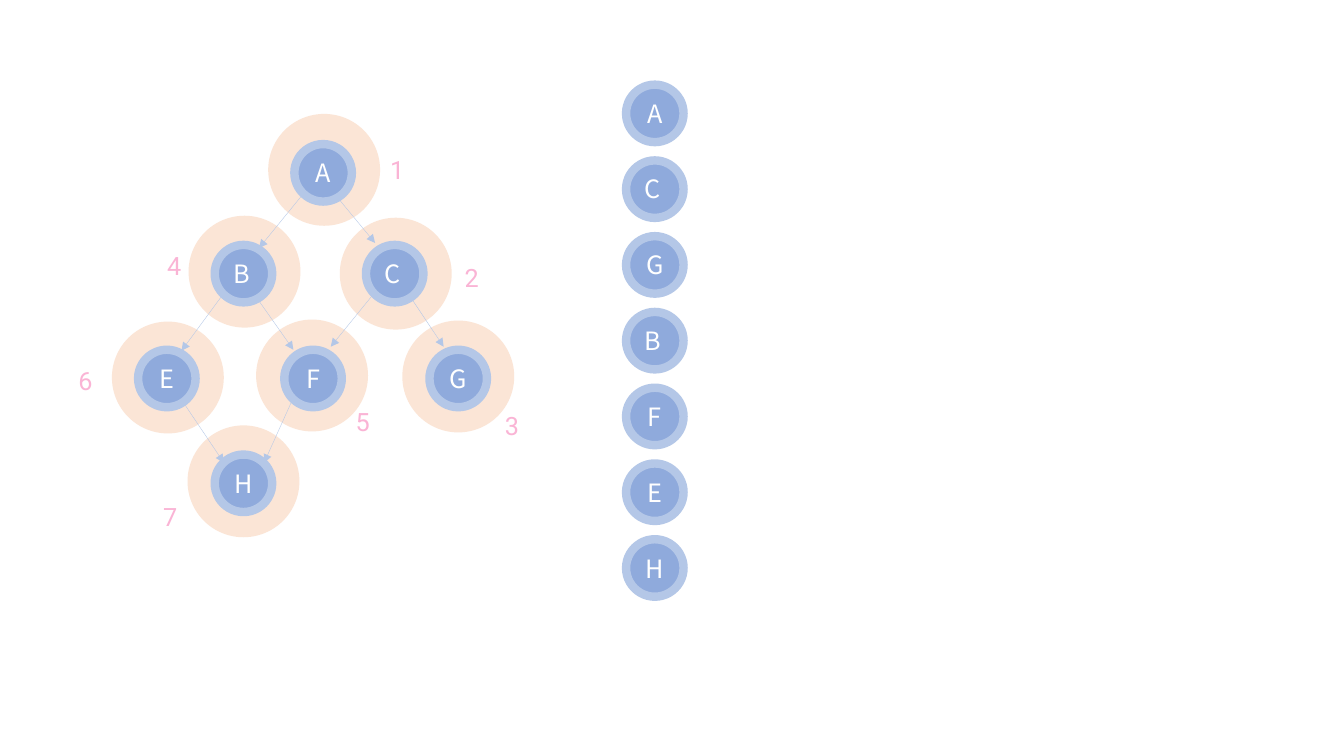
from lxml import etree
from pptx import Presentation
from pptx.dml.color import RGBColor
from pptx.enum.shapes import MSO_CONNECTOR, MSO_SHAPE
from pptx.enum.text import MSO_ANCHOR, MSO_AUTO_SIZE, PP_ALIGN
from pptx.oxml.ns import qn
from pptx.util import Inches, Pt

OVAL, STRAIGHT = MSO_SHAPE.OVAL, MSO_CONNECTOR.STRAIGHT
TOP, MIDDLE = MSO_ANCHOR.TOP, MSO_ANCHOR.MIDDLE
LEFT, CENTER, JUSTIFY = PP_ALIGN.LEFT, PP_ALIGN.CENTER, PP_ALIGN.JUSTIFY
FIT_SHAPE = MSO_AUTO_SIZE.SHAPE_TO_FIT_TEXT

HALO, NODE, RING = "FBE5D6", "8FAADC", "B4C7E7"
WHITE, PINK = "FFFFFF", "FAB4D5"
NODE_FONT, ORDER_FONT = "Noto Sans CJK SC", "Roboto"
HALO_SIZE, NODE_SIZE = 1.11, 0.57
TOP_ALIGNED = "BC"  # nodes with justified text at the top

# Left and top of each graph node, its halo and its visit number
GRAPH = {
    "A": (2.92, 1.43), "B": (2.13, 2.43), "C": (3.63, 2.43),
    "E": (1.37, 3.47), "F": (2.82, 3.47), "H": (2.13, 4.51), "G": (4.26, 3.47),
}
HALOS = [(1.86, 4.22), (3.99, 3.18), (3.37, 2.16), (2.54, 3.17),
         (1.11, 3.19), (1.87, 2.14), (2.66, 1.13)]
VISITS = {
    "7": (1.52, 4.92), "6": (0.68, 3.58), "5": (3.43, 3.98), "4": (1.56, 2.43),
    "3": (4.91, 4.02), "2": (4.51, 2.55), "1": (3.77, 1.48),
}
EDGES = [  # start x, y, end x, y
    (3.01, 1.92, 2.57, 2.46),  # A to B
    (3.34, 1.95, 3.72, 2.41),  # A to C
    (2.22, 2.91, 1.80, 3.48),  # B to E
    (2.48, 2.86, 2.91, 3.47),  # B to F
    (2.93, 3.90, 2.62, 4.59),  # F to H
    (4.02, 2.87, 4.40, 3.44),  # C to G
    (3.71, 2.91, 3.28, 3.44),  # C to F
    (1.81, 3.98, 2.22, 4.59),  # E to H
]

# Visit order in the column on the right
ORDER = "ACGBFEH"
ORDER_LEFT, ORDER_TOP, ORDER_BOTTOM = 6.21, 0.84, 5.35


def rgb(color):
    return RGBColor.from_string(color)


def add_text(tf, text, font, color, align):
    p = tf.paragraphs[0]
    p.alignment = align
    r = p.add_run()
    r.text = text
    r.font.name = font
    r.font.size = Pt(18)
    r.font.color.rgb = rgb(color)
    # The East Asian face follows the Latin one
    ea = etree.SubElement(r.font._element, qn("a:ea"))
    ea.set("typeface", font)


def add_circle(shapes, left, top, size, fill):
    sp = shapes.add_shape(OVAL, Inches(left), Inches(top), Inches(size), Inches(size))
    sp.shadow.inherit = False
    sp.fill.solid()
    sp.fill.fore_color.rgb = rgb(fill)
    sp.line.fill.background()
    return sp


def add_node(shapes, letter, left, top):
    sp = add_circle(shapes, left, top, NODE_SIZE, NODE)
    sp.line.color.rgb = rgb(RING)
    sp.line.width = Pt(6)
    at_top = letter in TOP_ALIGNED
    sp.text_frame.vertical_anchor = TOP if at_top else MIDDLE
    add_text(sp.text_frame, letter, NODE_FONT, WHITE, JUSTIFY if at_top else CENTER)


def add_edge(shapes, x1, y1, x2, y2):
    edge = shapes.add_connector(STRAIGHT, Inches(x1), Inches(y1), Inches(x2), Inches(y2))
    edge.line.color.rgb = rgb(RING)
    edge.line.width = Pt(0.25)
    ln = edge.line._get_or_add_ln()
    for tag, kind in (("a:headEnd", "diamond"), ("a:tailEnd", "triangle")):
        etree.SubElement(ln, qn(tag)).set("type", kind)
    etree.SubElement(edge._element.spPr, qn("a:effectLst"))


def add_visit(shapes, number, left, top):
    box = shapes.add_textbox(Inches(left), Inches(top), Inches(0.41), Inches(0.4))
    tf = box.text_frame
    tf.word_wrap = True
    tf.auto_size = FIT_SHAPE
    add_text(tf, number, ORDER_FONT, PINK, LEFT)


def main():
    prs = Presentation()
    prs.slide_width, prs.slide_height = Inches(13.33), Inches(7.5)
    s = prs.slides.add_slide(prs.slide_layouts[6])

    # Graph: halos, edges, nodes and visit numbers
    for left, top in HALOS:
        add_circle(s.shapes, left, top, HALO_SIZE, HALO)
    edges = s.shapes.add_group_shape()
    for ends in EDGES:
        add_edge(edges.shapes, *ends)
    nodes = s.shapes.add_group_shape()
    for letter, (left, top) in GRAPH.items():
        add_node(nodes.shapes, letter, left, top)
    for number, (left, top) in VISITS.items():
        add_visit(s.shapes, number, left, top)

    # Column of visited nodes
    pitch = (ORDER_BOTTOM - ORDER_TOP) / (len(ORDER) - 1)
    for i, letter in enumerate(ORDER):
        add_node(s.shapes, letter, ORDER_LEFT, ORDER_TOP + i * pitch)

    prs.save("out.pptx")


if __name__ == "__main__":
    main()
